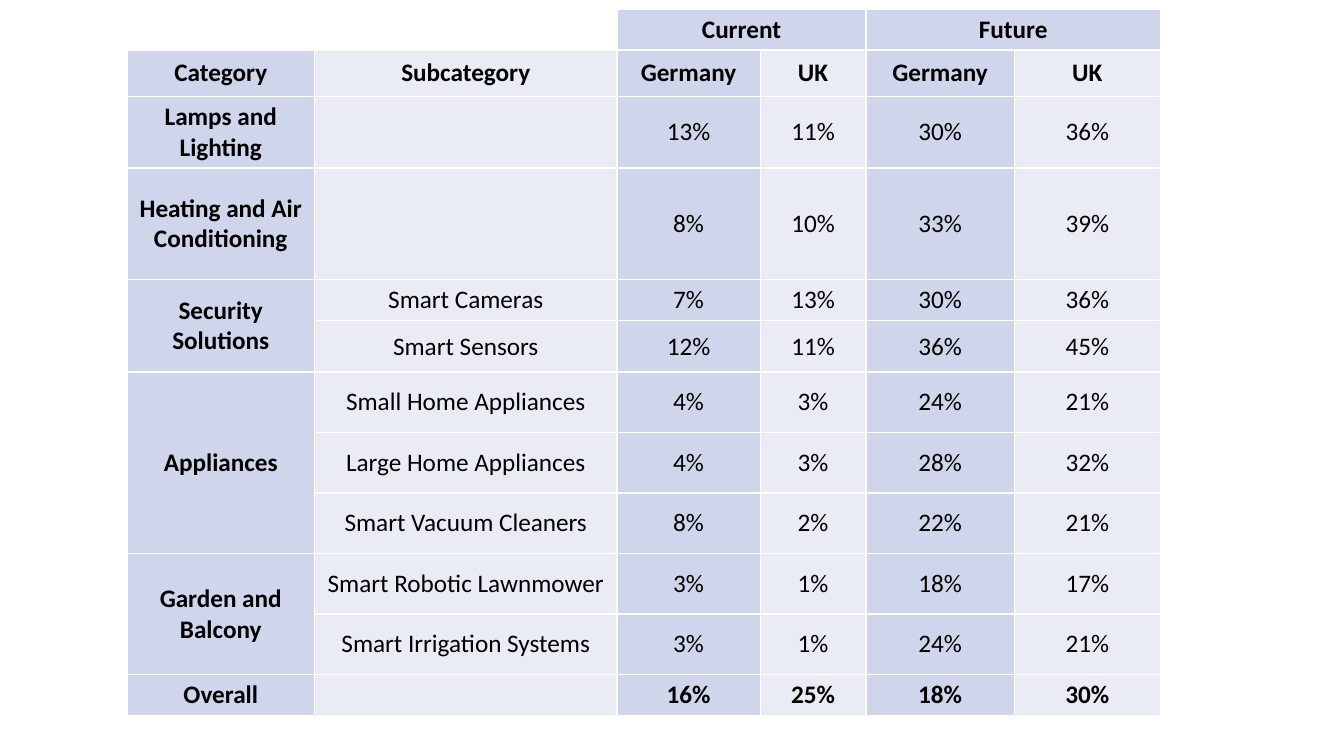
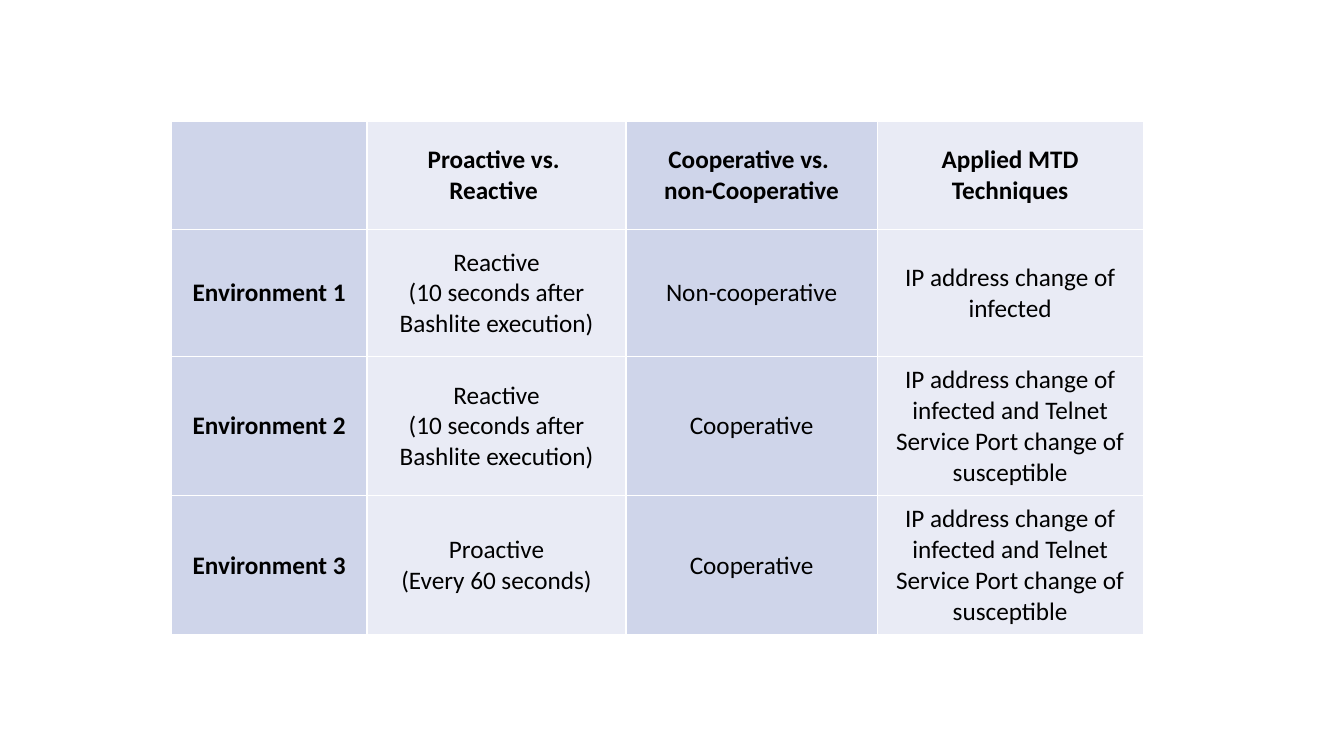
"""Build two slides, each holding one table with column-striped cells."""
from dataclasses import dataclass
from lxml.etree import SubElement
from pptx import Presentation
from pptx.dml.color import RGBColor
from pptx.enum.text import MSO_ANCHOR as Anchor, PP_ALIGN as Align
from pptx.oxml.ns import qn
from pptx.util import Inches, Pt


@dataclass(frozen=True)
class Theme:
    font: str = "Calibri"
    size: int = 18
    text: str = "000000"
    border: str = "FFFFFF"
    border_width: int = 1
    background: str = "FFFFFF"
    stripes: tuple = ("CFD5EA", "E9EBF5")


THEME = Theme()
MERGED = None

SMART_HOME = {
    "position": (1.26, 0.09),
    "columns": (1.86, 3, 1.42, 1.05, 1.47, 1.45),
    "heights": (0.34, 0.46, 0.62, 1.11, 0.34, 0.51, 0.6, 0.6, 0.6, 0.6, 0.6, 0.34),
    "bold_rows": (0, 1, 11),
    "clear_cells": ((0, 0), (0, 1)),
    "rows": [
        ("", "", "Current", MERGED, "Future", MERGED),
        ("Category", "Subcategory", "Germany", "UK", "Germany", "UK"),
        ("Lamps and Lighting", "", "13%", "11%", "30%", "36%"),
        ("Heating and Air Conditioning", "", "8%", "10%", "33%", "39%"),
        ("Security Solutions", "Smart Cameras", "7%", "13%", "30%", "36%"),
        (MERGED, "Smart Sensors", "12%", "11%", "36%", "45%"),
        ("Appliances", "Small Home Appliances", "4%", "3%", "24%", "21%"),
        (MERGED, "Large Home Appliances", "4%", "3%", "28%", "32%"),
        (MERGED, "Smart Vacuum Cleaners", "8%", "2%", "22%", "21%"),
        ("Garden and Balcony", "Smart Robotic Lawnmower", "3%", "1%", "18%", "17%"),
        (MERGED, "Smart Irrigation Systems", "3%", "1%", "24%", "21%"),
        ("Overall", "", "16%", "25%", "18%", "30%"),
    ],
}

REACTIVE = "Reactive\n(10 seconds after Bashlite execution)"
ADDRESS_CHANGE = "IP address change of infected"
ADDRESS_AND_PORT = ADDRESS_CHANGE + " and Telnet Service Port change of susceptible"

ENVIRONMENTS = {
    "position": (1.7, 1.2),
    "columns": (1.94, 2.57, 2.49, 2.64),
    "heights": (1.08, 1.26, 1.38, 1.38),
    "bold_rows": (0,),
    "clear_cells": (),
    "rows": [
        ("", "Proactive vs. \nReactive ", "Cooperative vs. \nnon-Cooperative",
         "Applied MTD Techniques"),
        ("Environment 1", REACTIVE, "Non-cooperative", ADDRESS_CHANGE),
        ("Environment 2", REACTIVE, "Cooperative", ADDRESS_AND_PORT),
        ("Environment 3", "Proactive\n(Every 60 seconds)", "Cooperative", ADDRESS_AND_PORT),
    ],
}


def add_borders(cell):
    properties = cell._tc.get_or_add_tcPr()
    for side in ("a:lnL", "a:lnR", "a:lnT", "a:lnB"):
        line = SubElement(properties, qn(side), w=str(Pt(THEME.border_width)))
        fill = SubElement(line, qn("a:solidFill"))
        SubElement(fill, qn("a:srgbClr"), val=THEME.border)


def style_cell(cell, text, fill, bold):
    add_borders(cell)
    cell.fill.solid()
    cell.fill.fore_color.rgb = RGBColor.from_string(fill)
    cell.vertical_anchor = Anchor.MIDDLE
    cell.text = text
    for paragraph in cell.text_frame.paragraphs:
        paragraph.alignment = Align.CENTER
        font = paragraph.font
        font.name, font.size, font.bold = THEME.font, Pt(THEME.size), bold
        font.color.rgb = RGBColor.from_string(THEME.text)


def merge_cells(table, rows):
    for r, row in enumerate(rows):
        for c, text in enumerate(row):
            if text is MERGED:
                continue
            right, bottom = c, r
            while right + 1 < len(row) and row[right + 1] is MERGED:
                right += 1
            while bottom + 1 < len(rows) and rows[bottom + 1][c] is MERGED:
                bottom += 1
            if (bottom, right) != (r, c):
                table.cell(r, c).merge(table.cell(bottom, right))


def add_table_slide(presentation, content):
    slide = presentation.slides.add_slide(presentation.slide_layouts[6])
    slide.background.fill.solid()
    slide.background.fill.fore_color.rgb = RGBColor.from_string(THEME.background)
    rows, columns, heights = content["rows"], content["columns"], content["heights"]
    left, top = content["position"]
    table = slide.shapes.add_table(
        len(rows), len(columns), Inches(left), Inches(top),
        Inches(sum(columns)), Inches(sum(heights))).table
    table.first_row = table.horz_banding = False
    for column, width in zip(table.columns, columns):
        column.width = Inches(width)
    for row, height in zip(table.rows, heights):
        row.height = Inches(height)
    for r, row in enumerate(rows):
        for c, text in enumerate(row):
            clear = (r, c) in content["clear_cells"]
            fill = THEME.background if clear else THEME.stripes[c % 2]
            bold = c == 0 or r in content["bold_rows"]
            style_cell(table.cell(r, c), text or "", fill, bold)
    merge_cells(table, rows)


presentation = Presentation()
presentation.slide_width, presentation.slide_height = Inches(13.33), Inches(7.5)
for content in (SMART_HOME, ENVIRONMENTS):
    add_table_slide(presentation, content)
presentation.save("out.pptx")
